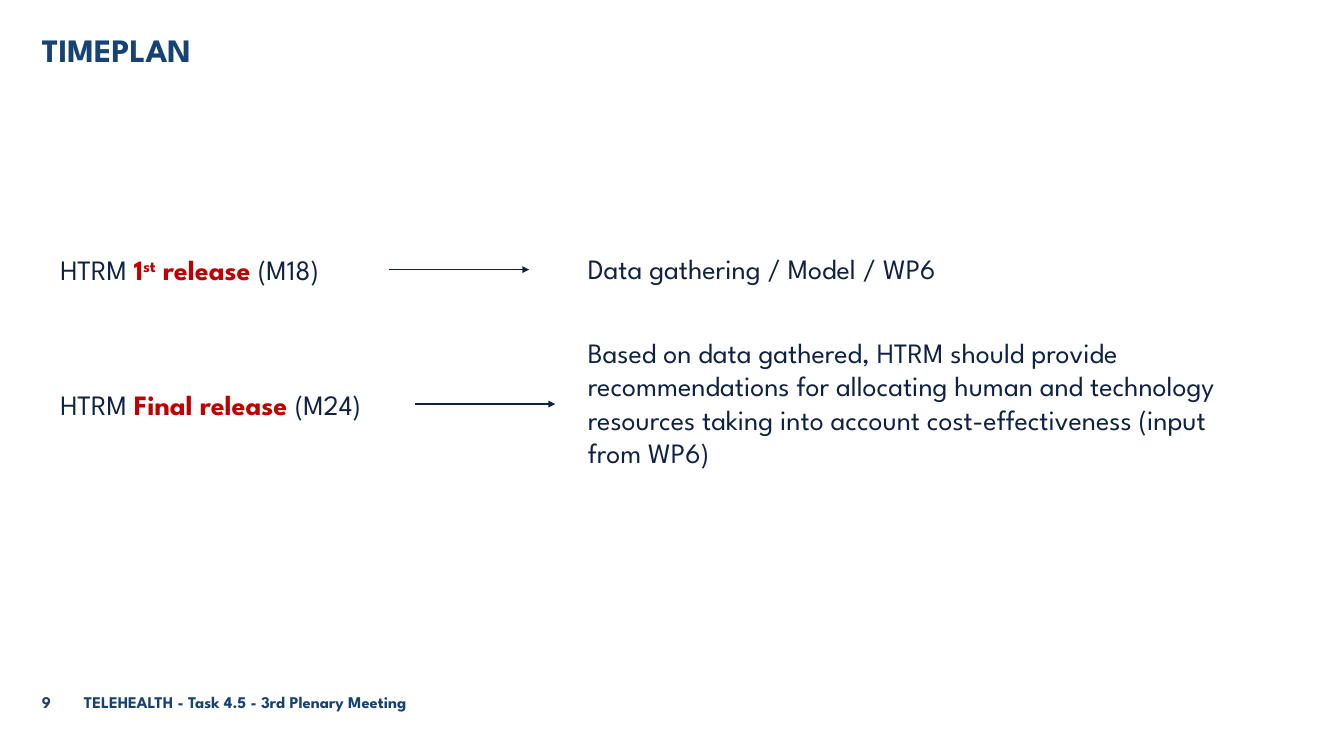
from lxml import etree
from pptx import Presentation
from pptx.dml.color import RGBColor
from pptx.enum.shapes import MSO_CONNECTOR
from pptx.enum.text import MSO_ANCHOR
from pptx.oxml.ns import qn
from pptx.util import Inches, Pt

BLUE, NAVY, RED = "164374", "102243", "C00000"


def rgb(value):
    return RGBColor.from_string(value)


def add_text(box, runs, size, inset=True, spacing=None, anchor=MSO_ANCHOR.TOP):
    tf = s.shapes.add_textbox(*[Inches(v) for v in box]).text_frame
    tf.word_wrap = True
    tf.vertical_anchor = anchor
    if not inset:
        tf.margin_left = tf.margin_right = tf.margin_top = tf.margin_bottom = 0
    p = tf.paragraphs[0]
    if spacing:
        p.line_spacing = Pt(spacing)
    for text, color, bold, raised in runs:
        r = p.add_run()
        r.text = text
        r.font.name = "League Spartan"
        r.font.size = Pt(size)
        r.font.bold = bold
        r.font.color.rgb = rgb(color)
        if raised:
            r.font._element.set("baseline", "30000")


prs = Presentation()
prs.slide_width, prs.slide_height = Inches(16), Inches(9)
s = prs.slides.add_slide(prs.slide_layouts[6])

add_text((0.5, 0.49, 15, 0.35), [("TIMEPLAN", BLUE, True, False)], 28, False, 24)

footer = [
    (0.5, 0.5, "9"),
    (1, 9, "TELEHEALTH - Task 4.5 - 3rd Plenary Meeting"),
]
for left, width, text in footer:
    add_text((left, 8.26, width, 0.25), [(text, BLUE, True, False)], 14, False, 12,
             MSO_ANCHOR.MIDDLE)

releases = [
    (2.96, [("1", True), ("st", True), (" release ", True), ("(M18)", False)],
     4.63, 3.21, 2.94, 0.5, "Data gathering / Model / WP6"),
    (4.56, [("Final release ", True), ("(M24)", False)],
     4.94, 4.81, 3.94, 1.72,
     "Based on data gathered, HTRM should provide recommendations for allocating "
     "human and technology resources taking into account cost-effectiveness "
     "(input from WP6)"),
]
for label_top, label, arrow_left, arrow_y, top, height, outcome in releases:
    runs = [("HTRM ", NAVY, False, False)]
    for text, strong in label:
        runs.append((text, RED if strong else NAVY, strong, text == "st"))
    add_text((0.62, label_top, 4.32, 0.5), runs, 24)
    add_text((6.9, top, 8, height), [(outcome, NAVY, False, False)], 24)

    arrow = s.shapes.add_connector(
        MSO_CONNECTOR.STRAIGHT, Inches(arrow_left), Inches(arrow_y),
        Inches(arrow_left + 1.67), Inches(arrow_y))
    arrow.line.color.rgb = rgb(NAVY)
    arrow.line.width = Pt(1)
    etree.SubElement(arrow.line._get_or_add_ln(), qn("a:tailEnd"), type="triangle")
    etree.SubElement(arrow._element.spPr, qn("a:effectLst"))

prs.save("out.pptx")
